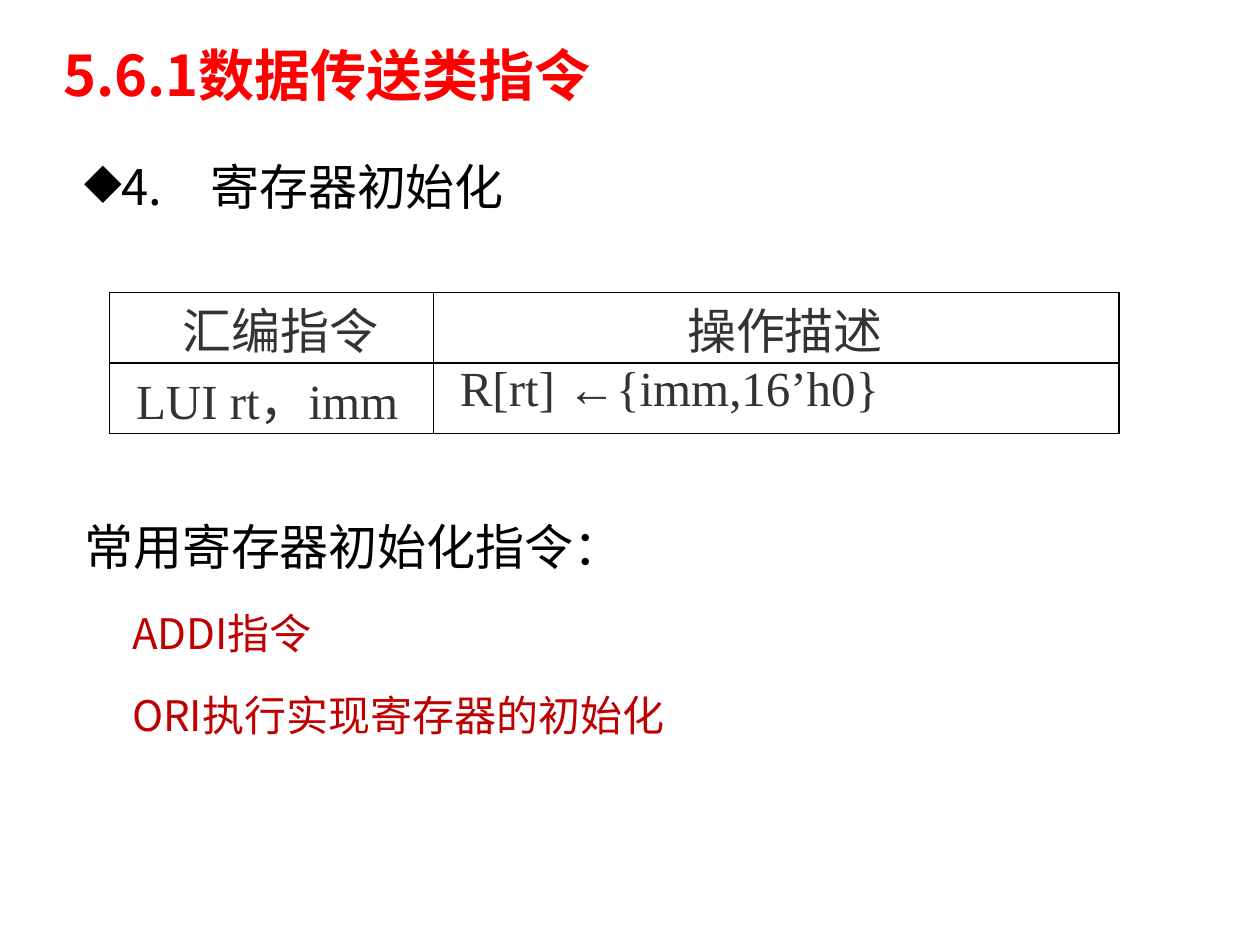
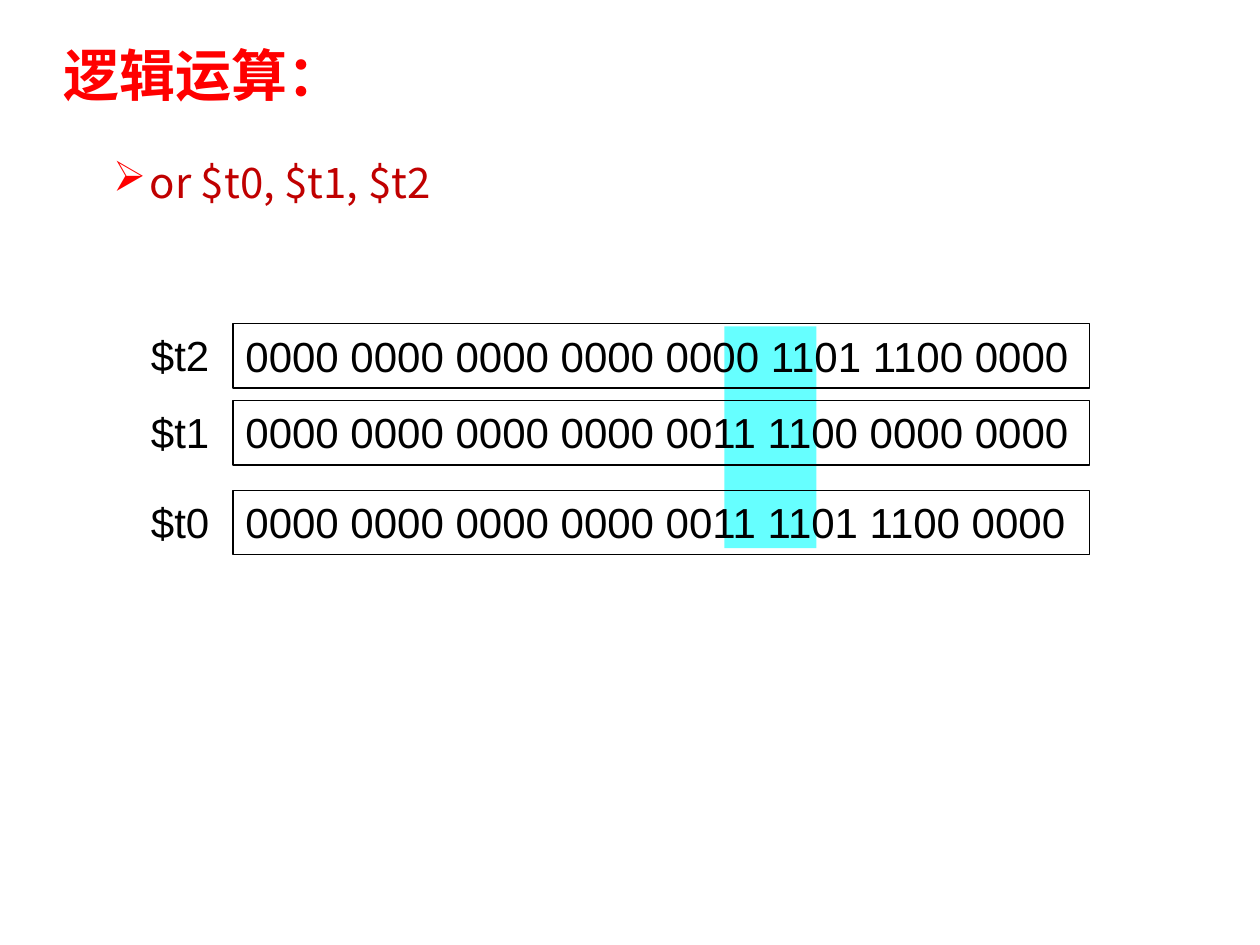
from pptx import Presentation
from pptx.dml.color import RGBColor
from pptx.enum.shapes import MSO_SHAPE
from pptx.enum.text import MSO_ANCHOR, MSO_AUTO_SIZE, PP_ALIGN
from pptx.oxml.ns import qn
from pptx.util import Emu, Inches, Pt
from lxml.etree import SubElement

COLORS = {"title": "FF0000", "text": "000000", "accent": "C00000",
          "cell": "333333", "band": "66FFFF"}
SANS, SERIF, DIGITS = "Noto Sans CJK SC", "Times New Roman", "Arial"

TITLES = ["5.6.1数据传送类指令", "逻辑运算："]
HEADING = [("4.\t寄存器初始化", "main",
            {"margin": 0.28, "hang": -0.28, "bullet": "◆", "bullet_color": "text", "tab": 0.45})]
COMMON = [("常用寄存器初始化指令：", "main", {}),
          ("ADDI指令", "sub", {"margin": 0.38}),
          ("ORI执行实现寄存器的初始化", "sub", {"margin": 0.38})]
EXAMPLE = [("or $t0, $t1, $t2", "sub",
            {"margin": 0.67, "hang": -0.29, "bullet": "➢", "bullet_color": "title"})]
INSTRUCTIONS = [["汇编指令", "操作描述"],
                ["LUI rt，imm", "R[rt] ←{imm,16’h0}"]]
REGISTERS = [("$t2", "0000 0000 0000 0000 0000 1101 1100 0000", 2.57),
             ("$t1", "0000 0000 0000 0000 0011 1100 0000 0000", 3.18),
             ("$t0", "0000 0000 0000 0000 0011 1101 1100 0000", 3.89)]

STYLES = {
    "title": {"size": 32, "name": SANS, "color": "title", "bold": True},
    "main": {"size": 28, "name": SANS, "color": "text"},
    "sub": {"size": 24, "name": SANS, "color": "accent"},
    "cell": {"size": 28, "name": SERIF, "color": "cell"},
    "register": {"size": 24, "name": DIGITS, "color": "text"},
}
SPACE_BEFORE = {"main": 7.5, "sub": 3.8}
COLUMNS, ROW_HEIGHT = (2.57, 5.44), 0.56


def rgb(name):
    return RGBColor.from_string(COLORS[name])


def box(*lengths):
    return [Inches(n) for n in lengths]


def write(p, text, style):
    r = p.add_run()
    r.text = text
    for key, value in STYLES[style].items():
        if key == "color":
            r.font.color.rgb = rgb(value)
        else:
            setattr(r.font, key, Pt(value) if key == "size" else value)
    SubElement(r.font._element, qn("a:ea")).set("typeface", SANS)


def format_indent(p, margin=0, hang=0, bullet=None, bullet_color="text", tab=None):
    pPr = p._p.get_or_add_pPr()
    pPr.set("marL", str(Inches(margin)))
    pPr.set("indent", str(Inches(hang)))
    if bullet:
        clr = SubElement(pPr, qn("a:buClr"))
        SubElement(clr, qn("a:srgbClr")).set("val", COLORS[bullet_color])
        SubElement(pPr, qn("a:buChar")).set("char", bullet)
    if tab:
        stop = SubElement(SubElement(pPr, qn("a:tabLst")), qn("a:tab"))
        stop.set("pos", str(Inches(tab)))
        stop.set("algn", "l")


def add_titled_slide(prs, text):
    s = prs.slides.add_slide(prs.slide_layouts[5])
    sp = s.shapes.title
    sp.left, sp.top, sp.width, sp.height = box(0.4, 0.28, 8.62, 0.68)
    tf = sp.text_frame
    for key, value in {"word_wrap": True, "auto_size": MSO_AUTO_SIZE.NONE,
                       "vertical_anchor": MSO_ANCHOR.MIDDLE}.items():
        setattr(tf, key, value)
    p = tf.paragraphs[0]
    p.alignment, p.line_spacing = PP_ALIGN.LEFT, 0.9
    write(p, text, "title")
    return s


def add_body(s, place, lines):
    tf = s.shapes.add_textbox(*box(*place)).text_frame
    tf.word_wrap = True
    for i, (text, style, indent) in enumerate(lines):
        p = tf.add_paragraph() if i else tf.paragraphs[0]
        format_indent(p, **indent)
        p.alignment, p.line_spacing = PP_ALIGN.JUSTIFY, 1.5
        if i:
            p.space_before = Pt(SPACE_BEFORE[style])
        write(p, text, style)


def add_borders(cell):
    tcPr = cell._tc.get_or_add_tcPr()
    for i, side in enumerate(("lnL", "lnR", "lnT", "lnB")):
        ln = tcPr.makeelement(qn(f"a:{side}"), {"w": str(Pt(1))})
        fill = SubElement(ln, qn("a:solidFill"))
        SubElement(fill, qn("a:srgbClr")).set("val", COLORS["text"])
        tcPr.insert(i, ln)


def add_instruction_table(s):
    rows, cols = len(INSTRUCTIONS), len(COLUMNS)
    place = box(0.87, 2.32, sum(COLUMNS), rows * ROW_HEIGHT)
    table = s.shapes.add_table(rows, cols, *place).table
    table.first_row = table.horz_banding = False
    for column, width in zip(table.columns, COLUMNS):
        column.width = Inches(width)
    for i, row in enumerate(INSTRUCTIONS):
        for j, text in enumerate(row):
            cell = table.cell(i, j)
            for key, value in {"margin_left": Inches(0.07), "margin_right": Inches(0.07),
                               "margin_top": Emu(0), "margin_bottom": Emu(0),
                               "vertical_anchor": MSO_ANCHOR.TOP if i else MSO_ANCHOR.MIDDLE}.items():
                setattr(cell, key, value)
            cell.fill.background()
            add_borders(cell)
            p = cell.text_frame.paragraphs[0]
            format_indent(p, hang=0.14)
            p.alignment = PP_ALIGN.JUSTIFY if i else PP_ALIGN.CENTER
            write(p, text, "cell")


def add_rect(s, *place):
    sp = s.shapes.add_shape(MSO_SHAPE.RECTANGLE, *box(*place))
    sp.shadow.inherit = False
    return sp


def fill_register_text(sp, text):
    tf = sp.text_frame
    for key, value in {"word_wrap": False, "vertical_anchor": MSO_ANCHOR.TOP,
                       "auto_size": MSO_AUTO_SIZE.SHAPE_TO_FIT_TEXT}.items():
        setattr(tf, key, value)
    p = tf.paragraphs[0]
    p.alignment = PP_ALIGN.LEFT
    write(p, text, "register")


def add_registers(s):
    band = add_rect(s, 5.75, 2.59, 0.73, 1.76)
    band.fill.solid()
    band.fill.fore_color.rgb = rgb("band")
    band.line.fill.background()
    for name, bits, top in REGISTERS:
        sp = add_rect(s, 1.85, top, 6.8, 0.51)
        sp.fill.background()
        sp.line.color.rgb = rgb("text")
        sp.line.width = Pt(0.75)
        fill_register_text(sp, bits)
        fill_register_text(s.shapes.add_textbox(*box(1.1, top, 0.66, 0.5)), name)


def main():
    prs = Presentation()
    prs.slide_width, prs.slide_height = box(10, 7.5)
    init_slide, logic_slide = [add_titled_slide(prs, t) for t in TITLES]
    add_body(init_slide, (0.57, 3.82, 8.62, 2.72), COMMON)
    add_body(init_slide, (0.57, 0.96, 8.62, 2.72), HEADING)
    add_instruction_table(init_slide)
    add_body(logic_slide, (0.42, 0.99, 8.62, 6.16), EXAMPLE)
    add_registers(logic_slide)
    prs.save("out.pptx")


if __name__ == "__main__":
    main()
